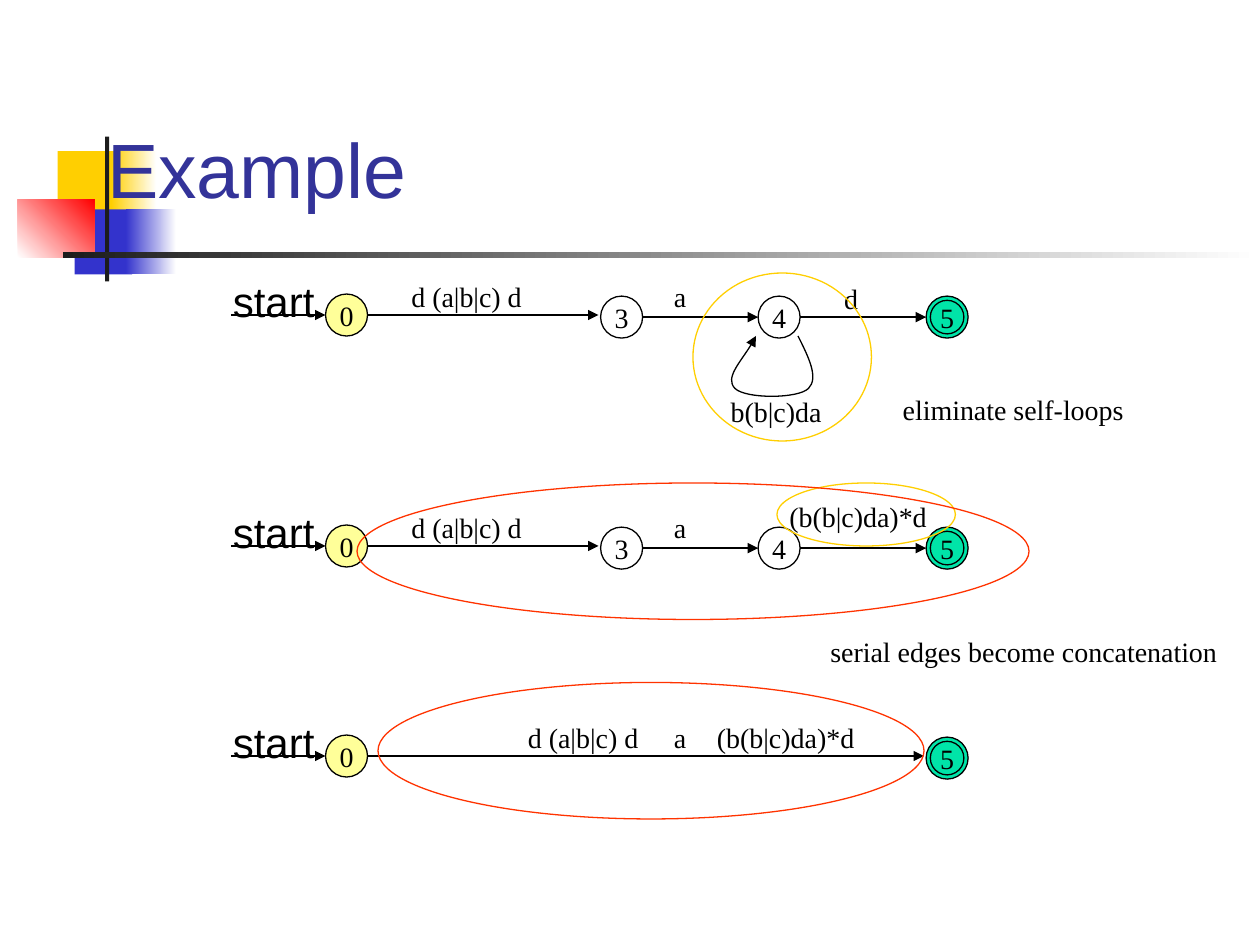
from typing import NamedTuple, Optional

from pptx import Presentation
from pptx.dml.color import RGBColor
from pptx.enum.shapes import MSO_CONNECTOR, MSO_SHAPE
from pptx.enum.text import MSO_ANCHOR, MSO_AUTO_SIZE, PP_ALIGN
from pptx.oxml.xmlchemy import OxmlElement
from pptx.util import Inches, Pt

OVAL, RECTANGLE = MSO_SHAPE.OVAL, MSO_SHAPE.RECTANGLE
STRAIGHT = MSO_CONNECTOR.STRAIGHT
BOTTOM, MIDDLE = MSO_ANCHOR.BOTTOM, MSO_ANCHOR.MIDDLE
LEFT, CENTER = PP_ALIGN.LEFT, PP_ALIGN.CENTER
FIT_SHAPE = MSO_AUTO_SIZE.SHAPE_TO_FIT_TEXT

# The page is a grid of 120 columns by 90 rows, twelve to the inch.
CELL = Inches(1) // 12
SERIF, SANS = "Times New Roman", "Arial"
BLACK, WHITE = "000000", "FFFFFF"
YELLOW, BLUE, RED, CHARCOAL = "FFCF01", "3333CC", "FF0000", "1C1C1C"
START_FILL, FINAL_FILL, MERGE_LINE = "FFFF99", "00E4A8", "FF3300"
DIAMETER, RING = 4, 3.2
LABEL_HEIGHT = 4.4
DROP = 0.2  # states after the first sit slightly below the row's axis


class Block(NamedTuple):
    """A rectangle of the title ornament, fading to a second colour if given."""
    left: float
    top: float
    width: float
    height: float
    color: str
    fade: Optional[str] = None
    angle: float = 0


class State(NamedTuple):
    name: str
    left: float
    drop: float = DROP
    fill: Optional[str] = None
    final: bool = False


class Label(NamedTuple):
    text: str
    left: float
    width: float
    rise: float = 4


class Edge(NamedTuple):
    start: float
    end: float
    drop: float = DROP


class Automaton(NamedTuple):
    axis: float
    states: list[State]
    edges: list[Edge]
    labels: list[Label]


class Highlight(NamedTuple):
    left: float
    top: float
    width: float
    height: float
    color: str


ORNAMENT = [
    Block(5.5, 14.4, 5.8, 6.2, YELLOW),
    Block(10.6, 14.4, 4.3, 6.2, YELLOW, WHITE),
    Block(7.1, 19.95, 5.5, 6.2, BLUE),
    Block(12, 19.95, 4.8, 6.2, BLUE, WHITE),
    Block(1.7, 19, 7.3, 5.5, WHITE, RED, 45),
    Block(10, 13, 0.4, 13.8, CHARCOAL),
    Block(6, 24, 114, 0.6, CHARCOAL, WHITE),
]

ZERO = State("0", 31, 0, START_FILL)
THREE, FOUR = State("3", 57.2), State("4", 72.2)
FIVE = State("5", 88.2, fill=FINAL_FILL, final=True)
CHAIN = [ZERO, THREE, FOUR, FIVE]
CHAIN_EDGES = [Edge(35, 57, 0), Edge(61.2, 72.2), Edge(76.2, 88.2)]
PREFIX, MIDDLE_A = Label("d (a|b|c) d", 38, 13.4), Label("a", 63, 4)
LOOPED = Label("(b(b|c)da)*d", 74, 16, 5)

AUTOMATA = [
    Automaton(30, CHAIN, CHAIN_EDGES, [PREFIX, MIDDLE_A, Label("d", 79.2, 4, 3.8)]),
    Automaton(52, CHAIN, CHAIN_EDGES, [PREFIX, MIDDLE_A, LOOPED]),
    Automaton(72, [ZERO, FIVE], [Edge(35, 88, 0)],
              [PREFIX._replace(left=49.1), MIDDLE_A,
               LOOPED._replace(left=67.1, rise=4)]),
]

HIGHLIGHTS = [
    Highlight(66, 26, 17, 16, YELLOW),
    Highlight(74, 46, 17, 6, YELLOW),
    Highlight(34, 46, 64, 13, MERGE_LINE),
    Highlight(36, 65, 52, 13, MERGE_LINE),
]

# The start point, then three points for each Bézier segment.
SELF_LOOP = [(76, 32), (77, 34), (78, 36), (77, 37), (76, 37.8), (70.8, 37.8),
             (70, 37), (69.1, 36), (70.6, 34), (72, 32)]


def cells(*lengths: float) -> list[int]:
    return [round(length * CELL) for length in lengths]


def rgb(color: str) -> RGBColor:
    return RGBColor.from_string(color)


def set_line(line, color: str = BLACK) -> None:
    line.color.rgb = rgb(color)
    line.width = Pt(0.75)


def add_arrowhead(shape) -> None:
    tail = OxmlElement("a:tailEnd")
    tail.set("type", "triangle")
    shape.line._get_or_add_ln().append(tail)


def add_block(shapes, block: Block) -> None:
    shape = shapes.add_shape(RECTANGLE, *cells(*block[:4]))
    shape.shadow.inherit = False
    shape.line.fill.background()
    if block.fade is None:
        shape.fill.solid()
        shape.fill.fore_color.rgb = rgb(block.color)
        return
    shape.fill.gradient()
    shape.fill.gradient_angle = block.angle
    for stop, color, position in zip(shape.fill.gradient_stops,
                                     (block.color, block.fade), (0, 1)):
        stop.color.rgb = rgb(color)
        stop.position = position


def set_text(frame, text: str, size: float, font: str, color: str = BLACK,
             align=LEFT) -> None:
    frame.text = text
    para = frame.paragraphs[0]
    para.alignment = align
    para.font.size = Pt(size)
    para.font.name = font
    para.font.color.rgb = rgb(color)


def add_oval(shapes, left: float, top: float, width: float, height: float,
             line: str = BLACK, fill: Optional[str] = None):
    oval = shapes.add_shape(OVAL, *cells(left, top, width, height))
    oval.shadow.inherit = False
    set_line(oval.line, line)
    if fill:
        oval.fill.solid()
        oval.fill.fore_color.rgb = rgb(fill)
    else:
        oval.fill.background()
    return oval


def add_state(shapes, state: State, axis: float) -> None:
    top = axis + state.drop - DIAMETER / 2
    oval = add_oval(shapes, state.left, top, DIAMETER, DIAMETER, fill=state.fill)
    oval.text_frame.word_wrap = False
    oval.text_frame.vertical_anchor = MIDDLE
    set_text(oval.text_frame, state.name, 16, SERIF, align=CENTER)
    if state.final:
        inset = (DIAMETER - RING) / 2
        add_oval(shapes, state.left + inset, top + inset, RING, RING)


def add_arrow(shapes, start: float, end: float, row: float) -> None:
    arrow = shapes.add_connector(STRAIGHT, *cells(start, row, end, row))
    set_line(arrow.line)
    add_arrowhead(arrow)
    arrow._element.spPr.append(OxmlElement("a:effectLst"))


def add_label(shapes, text: str, left: float, top: float, width: float,
              height: float = LABEL_HEIGHT, size: float = 16, font: str = SERIF) -> None:
    box = shapes.add_textbox(*cells(left, top, width, height))
    box.text_frame.word_wrap = False
    box.text_frame.auto_size = FIT_SHAPE
    set_text(box.text_frame, text, size, font)


def add_automaton(shapes, automaton: Automaton) -> None:
    axis = automaton.axis
    for state in automaton.states:
        add_state(shapes, state, axis)
    for edge in automaton.edges:
        add_arrow(shapes, edge.start, edge.end, axis + edge.drop)
    for label in automaton.labels:
        add_label(shapes, label.text, label.left, axis - label.rise, label.width)
    entry = shapes.add_group_shape().shapes
    add_arrow(entry, 22, 31, axis)
    add_label(entry, "start", 21, axis - 4.35, 10.6, 6, 24, SANS)


def add_curve(shapes, points: list[tuple[float, float]]) -> None:
    """Draw an arrow whose points after the first are Bézier triples."""
    builder = shapes.build_freeform(*points[0], scale=CELL)
    builder.add_line_segments(points[1:], close=False)
    curve = builder.convert_to_shape()
    segments = curve._element.xpath(".//a:lnTo")
    for first in range(0, len(segments), 3):
        bezier = OxmlElement("a:cubicBezTo")
        segments[first].addprevious(bezier)
        for segment in segments[first:first + 3]:
            bezier.append(segment[0])
            segment.getparent().remove(segment)
    curve.shadow.inherit = False
    curve.fill.background()
    set_line(curve.line)
    add_arrowhead(curve)


def add_title(shapes, text: str) -> None:
    title = shapes.title
    title.left, title.top, title.width, title.height = cells(9, 6, 102, 15)
    title.text_frame.vertical_anchor = BOTTOM
    set_text(title.text_frame, text, 44, SANS, "333399")
    shapes._spTree.append(title._element)  # in front of the ornament


def main() -> None:
    deck = Presentation()
    deck.slide_width, deck.slide_height = cells(120, 90)
    shapes = deck.slides.add_slide(deck.slide_layouts[5]).shapes
    for block in ORNAMENT:
        add_block(shapes, block)
    add_title(shapes, "Example")
    for automaton in AUTOMATA:
        add_automaton(shapes, automaton)
    add_curve(shapes, SELF_LOOP)
    add_label(shapes, "b(b|c)da", 68.4, 37, 11.6)
    for highlight in HIGHLIGHTS:
        add_oval(shapes, *highlight)
    add_label(shapes, "eliminate self-loops", 84.8, 36.8, 24)
    add_label(shapes, "serial edges become concatenation", 77.9, 59.8, 39.8)
    deck.save("out.pptx")


if __name__ == "__main__":
    main()
